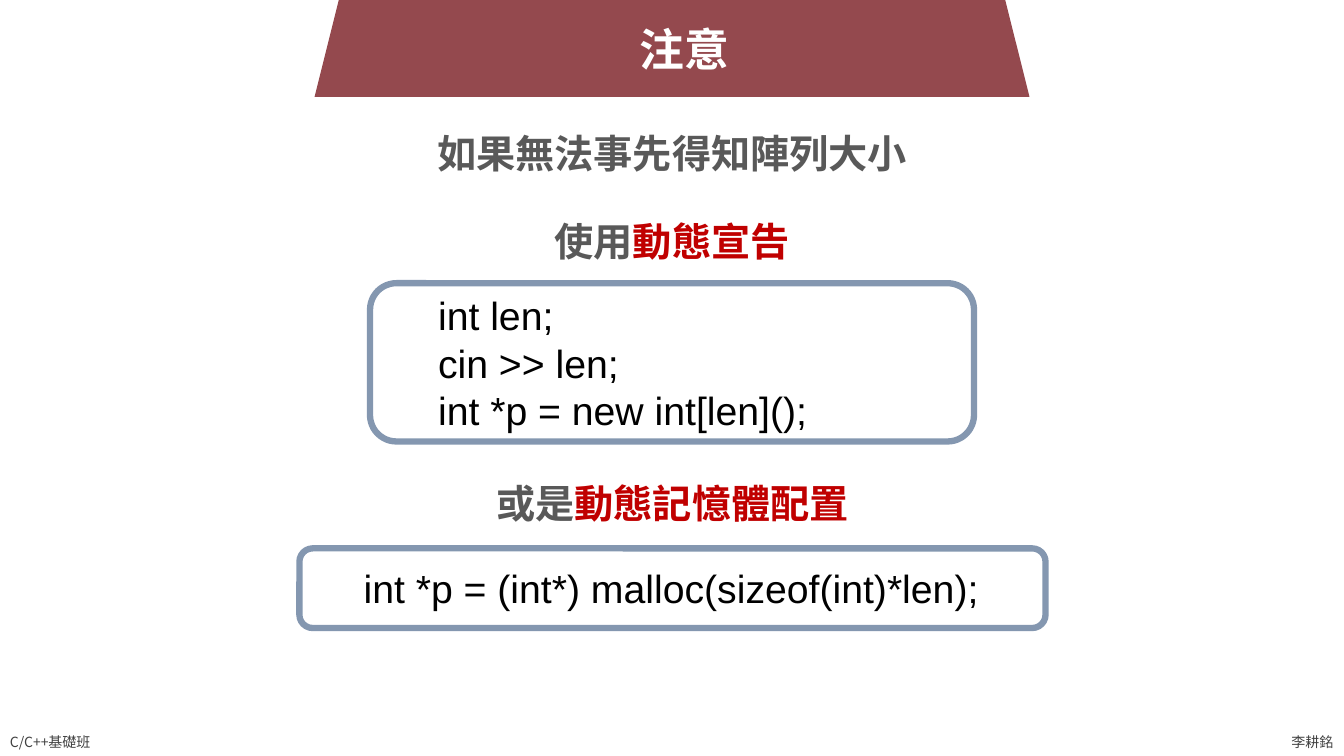
from dataclasses import dataclass

from lxml import etree
from pptx import Presentation
from pptx.dml.color import RGBColor
from pptx.enum.shapes import MSO_SHAPE
from pptx.enum.text import MSO_ANCHOR, MSO_AUTO_SIZE, PP_ALIGN
from pptx.oxml.ns import qn
from pptx.util import Inches, Pt

TRAPEZOID, ROUND_RECT = MSO_SHAPE.TRAPEZOID, MSO_SHAPE.ROUNDED_RECTANGLE
TOP, MIDDLE = MSO_ANCHOR.TOP, MSO_ANCHOR.MIDDLE
LEFT, CENTER = PP_ALIGN.LEFT, PP_ALIGN.CENTER
NO_AUTOFIT = MSO_AUTO_SIZE.NONE
TITLE_ONLY = 5


@dataclass(frozen=True)
class Theme:
    font: str = "Noto Sans CJK TC"
    code_font: str = "Arial"
    banner: str = "94494E"
    white: str = "FFFFFF"
    heading: str = "595959"
    accent: str = "C00000"
    code: str = "000000"
    frame: str = "8497B0"
    footer: str = "404040"
    title_size: int = 32
    body_size: int = 28
    footer_size: int = 10
    frame_width: float = 4.5


def add_run(p, text, *, font, size, color, bold=False):
    r = p.add_run()
    r.text = text
    r.font.name = font
    r.font.size = Pt(size)
    r.font.bold = bold
    r.font.color.rgb = RGBColor.from_string(color)
    ea = etree.SubElement(r.font._element, qn("a:ea"))
    ea.set("typeface", font)


class NoticeSlide:
    def __init__(self, prs, theme):
        self.theme = theme
        self.slide = prs.slides.add_slide(prs.slide_layouts[TITLE_ONLY])

    def shape(self, kind, box, fill, line=None):
        sp = self.slide.shapes.add_shape(kind, *map(Inches, box))
        sp.shadow.inherit = False
        sp.fill.solid()
        sp.fill.fore_color.rgb = RGBColor.from_string(fill)
        if line:
            sp.line.color.rgb = RGBColor.from_string(line)
            sp.line.width = Pt(self.theme.frame_width)
        else:
            sp.line.fill.background()
        return sp

    def title(self, text, box, banner_box):
        t = self.theme
        banner = self.shape(TRAPEZOID, banner_box, t.banner)
        sp = self.slide.shapes.title
        sp.left, sp.top, sp.width, sp.height = map(Inches, box)
        banner._element.addnext(sp._element)
        tf = sp.text_frame
        tf.auto_size, tf.word_wrap, tf.vertical_anchor = NO_AUTOFIT, False, TOP
        p = tf.paragraphs[0]
        p.alignment, p.line_spacing = CENTER, 1.0
        add_run(p, text, font=t.font, size=t.title_size, color=t.white, bold=True)

    def text_box(self, box, align, anchor=TOP):
        """Add an empty one-line box and return its paragraph."""
        tf = self.slide.shapes.add_textbox(*map(Inches, box)).text_frame
        tf.word_wrap, tf.vertical_anchor = False, anchor
        p = tf.paragraphs[0]
        p.alignment = align
        return p

    def heading(self, box, text, accent=""):
        t = self.theme
        p = self.text_box(box, CENTER)
        for part, color in ((text, t.heading), (accent, t.accent)):
            if part:
                add_run(p, part, font=t.font, size=t.body_size, color=color, bold=True)

    def code(self, box, lines):
        t = self.theme
        tf = self.shape(ROUND_RECT, box, t.white, t.frame).text_frame
        tf.word_wrap, tf.vertical_anchor = True, MIDDLE
        for i, line in enumerate(lines):
            p = tf.add_paragraph() if i else tf.paragraphs[0]
            p.alignment, p.level = LEFT, 1
            pPr = p._p.get_or_add_pPr()
            pPr.set("marL", str(Inches(0.5)))
            pPr.set("indent", "0")
            add_run(p, line, font=t.code_font, size=t.body_size, color=t.code)

    def footer(self, box, text, anchor=TOP):
        t = self.theme
        p = self.text_box(box, LEFT, anchor)
        add_run(p, text, font=t.font, size=t.footer_size, color=t.footer)


def main():
    prs = Presentation()
    prs.slide_width, prs.slide_height = Inches(13.33), Inches(7.5)
    s = NoticeSlide(prs, Theme())
    s.footer((0, 7.23, 1.07, 0.27), "C/C++基礎班")
    s.footer((12.71, 7.23, 0.62, 0.27), "李耕銘", MIDDLE)
    s.title("注意", (6.24, 0.17, 1.1, 0.64), banner_box=(3.12, -0.26, 7.09, 1.22))
    s.heading((4.21, 1.23, 4.91, 0.57), "如果無法事先得知陣列大小")
    s.heading((5.34, 2.11, 2.65, 0.57), "使用", "動態宣告")
    s.code((3.67, 2.81, 5.99, 1.57),
           ["int len;", "cin >> len;", "int *p = new int[len]();"])
    s.heading((4.75, 4.71, 3.84, 0.57), "或是", "動態記憶體配置")
    s.code((2.97, 5.44, 7.4, 0.79), ["int *p = (int*) malloc(sizeof(int)*len);"])
    prs.save("out.pptx")


if __name__ == "__main__":
    main()
